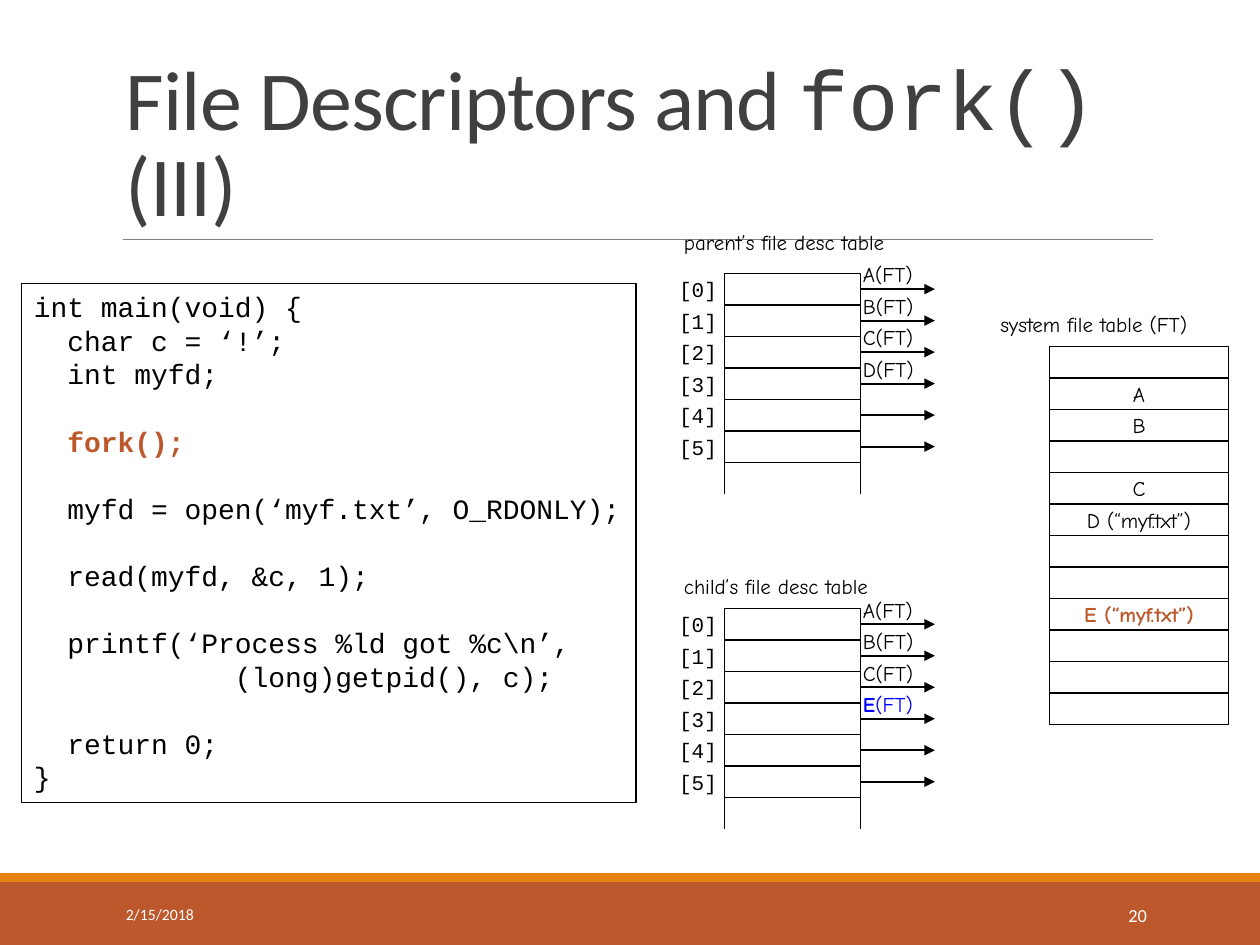
"""Build the slide on file descriptors shared across fork()."""
from pptx import Presentation
from pptx.dml.color import RGBColor
from pptx.enum.shapes import MSO_CONNECTOR as Conn, MSO_SHAPE as Shape
from pptx.enum.text import MSO_ANCHOR as Anchor, PP_ALIGN as Align
from pptx.oxml.ns import qn
from pptx.util import Inches, Pt

BLACK = RGBColor(0x00, 0x00, 0x00)
WHITE = RGBColor(0xFF, 0xFF, 0xFF)
BLUE = RGBColor(0x00, 0x00, 0xFF)
RUST = RGBColor(0xBD, 0x58, 0x2C)
ORANGE = RGBColor(0xE4, 0x83, 0x12)
GRAY = RGBColor(0x80, 0x80, 0x80)
DARK = RGBColor(0x40, 0x40, 0x40)

HAND = {"name": "Comic Neue", "size": Pt(12), "color": BLACK}
MONO = HAND | {"name": "Courier New"}
CODE = MONO | {"size": Pt(16)}
CODE_HOT = CODE | {"color": RUST, "bold": True}
TITLE = {"name": "Calibri", "size": Pt(48), "color": DARK}
FOOTER = {"name": "Calibri", "size": Pt(9), "color": WHITE}
NO_INSETS = dict.fromkeys(("margin_left", "margin_right", "margin_top", "margin_bottom"), 0)
CENTERED = NO_INSETS | {"vertical_anchor": Anchor.MIDDLE}

ROW = 0.25
CODE_PITCH = Pt(19.2)
CODE_LINES = [
    "int main(void) {",
    "  char c = ‘!’;",
    "  int myfd;",
    "",
    "  fork();",
    "",
    "  myfd = open(‘myf.txt’, O_RDONLY);",
    "",
    "  read(myfd, &c, 1);",
    "",
    "  printf(‘Process %ld got %c\\n’,",
    "            (long)getpid(), c);",
    "",
    "  return 0;",
    "}",
]
SHARED_ENTRIES = [[(f"{name}(FT)", HAND)] for name in "ABC"]
PARENT_ENTRIES = SHARED_ENTRIES + [[("D(FT)", HAND)]]
CHILD_ENTRIES = SHARED_ENTRIES + [
    [("E", HAND | {"color": BLUE, "bold": True}), ("(FT)", HAND | {"color": BLUE})]
]
SYSTEM_ROWS = ["", "A", "B", "", "C", "D (“myf.txt”)", "", "", "E (“myf.txt”)", "", "", ""]


def apply_format(target, values):
    """Set each named value on the target."""
    for key, value in values.items():
        if key == "color":
            target.color.rgb = value
        else:
            setattr(target, key, value)


def add_runs(p, runs, align=Align.LEFT):
    """Append (text, format) runs to a paragraph."""
    p.alignment = align
    for text, values in runs:
        r = p.add_run()
        r.text = text
        apply_format(r.font, values)


def add_text(s, box, runs, align=Align.LEFT, wrap=False, **frame):
    """Add a text box with one paragraph and return the paragraph."""
    tf = s.shapes.add_textbox(*map(Inches, box)).text_frame
    apply_format(tf, {"word_wrap": wrap} | frame)
    p = tf.paragraphs[0]
    add_runs(p, runs, align)
    return p


def add_rect(s, box, fill=None, line=None):
    """Add a flat rectangle with an optional fill and outline."""
    sp = s.shapes.add_shape(Shape.RECTANGLE, *map(Inches, box))
    sp.shadow.inherit = False
    if fill is None:
        sp.fill.background()
    else:
        sp.fill.solid()
        sp.fill.fore_color.rgb = fill
    if line is None:
        sp.line.fill.background()
    else:
        apply_format(sp.line, {"color": line, "width": Pt(1)})
    return sp


def add_line(s, x1, y1, x2, y2, color=BLACK, width=1, arrow=False):
    """Add a straight line, optionally ending in an arrowhead."""
    c = s.shapes.add_connector(Conn.STRAIGHT, *map(Inches, (x1, y1, x2, y2)))
    apply_format(c.line, {"color": color, "width": Pt(width)})
    sp_pr = c._element.spPr
    if arrow:
        ln = sp_pr.find(qn("a:ln"))
        ln.append(ln.makeelement(qn("a:tailEnd"), {"type": "triangle"}))
    sp_pr.append(sp_pr.makeelement(qn("a:effectLst"), {}))


def add_descriptor_table(s, caption, caption_top, top, entries):
    """Add a process's descriptor table with its outgoing pointers."""
    left, right, rows = 5.75, 6.83, 6
    add_text(s, (5.33, caption_top, 2, 0.3), [(caption, HAND)])
    for i in range(rows):
        y = top + i * ROW
        add_rect(s, (left, y, right - left, ROW), line=BLACK)
        add_text(s, (5.33, y, 0.42, ROW), [(f"[{i}]", MONO)], Align.CENTER, **CENTERED)
        add_line(s, right, y + ROW / 2, 7.42, y + ROW / 2, arrow=True)
    for i, runs in enumerate(entries):
        add_text(s, (6.75, top - 0.14 + i * ROW, 0.66, 0.3), runs)
    bottom = top + rows * ROW
    for x in (left, right):
        add_line(s, x, bottom, x, bottom + ROW)


def add_system_table(s):
    """Add the system-wide file table."""
    add_text(s, (7.84, 2.42, 1.92, 0.3), [("system file table (FT)", HAND)])
    for i, text in enumerate(SYSTEM_ROWS):
        sp = add_rect(s, (8.33, 2.75 + i * ROW, 1.42, ROW), line=BLACK)
        if text:
            values = HAND | {"color": RUST, "bold": True} if text.startswith("E") else HAND
            apply_format(sp.text_frame, CENTERED | {"word_wrap": False})
            add_runs(sp.text_frame.paragraphs[0], [(text, values)], Align.CENTER)


def add_code(s):
    """Add the framed code listing, spacing its groups apart."""
    tf = add_rect(s, (0.17, 2.25, 4.88, 4.12), line=BLACK).text_frame
    apply_format(tf, {"word_wrap": True, "vertical_anchor": Anchor.TOP, "margin_right": 0})
    p, gap = tf.paragraphs[0], 0
    for i, text in enumerate(CODE_LINES):
        if not text:
            gap = CODE_PITCH
            continue
        p = tf.add_paragraph() if i else p
        apply_format(p, {"line_spacing": CODE_PITCH, "space_before": gap})
        add_runs(p, [(text, CODE_HOT if "fork" in text else CODE)])
        gap = 0


def add_frame(s):
    """Add the title, its rule and the footer band."""
    add_rect(s, (0, 7, 10, 0.5), fill=RUST)
    add_rect(s, (0, 6.93, 10, 0.07), fill=ORANGE)
    add_line(s, 0.98, 1.9, 9.15, 1.9, GRAY, 0.5)
    runs = [
        ("File Descriptors and ", TITLE),
        ("fork() ", TITLE | {"name": "Courier New"}),
        ("(III)", TITLE),
    ]
    p = add_text(s, (0.9, 0.31, 8.25, 1.59), runs, wrap=True, vertical_anchor=Anchor.BOTTOM)
    p.line_spacing = 0.85
    for r in p.runs:
        r.font._element.set("spc", "-50")
    middle = {"wrap": True, "vertical_anchor": Anchor.MIDDLE}
    add_text(s, (0.9, 7.06, 2.03, 0.4), [("2/15/2018", FOOTER)], **middle)
    number = [("20", FOOTER | {"size": Pt(10.5)})]
    add_text(s, (8.12, 7.06, 1.08, 0.4), number, Align.RIGHT, **middle)


def main():
    """Build and save the slide."""
    prs = Presentation()
    prs.slide_width, prs.slide_height = Inches(10), Inches(7.5)
    s = prs.slides.add_slide(prs.slide_layouts[6])
    add_frame(s)
    add_descriptor_table(s, "parent’s file desc table", 1.77, 2.17, PARENT_ENTRIES)
    add_descriptor_table(s, "child’s file desc table", 4.5, 4.83, CHILD_ENTRIES)
    add_system_table(s)
    add_code(s)
    prs.save("out.pptx")


if __name__ == "__main__":
    main()
